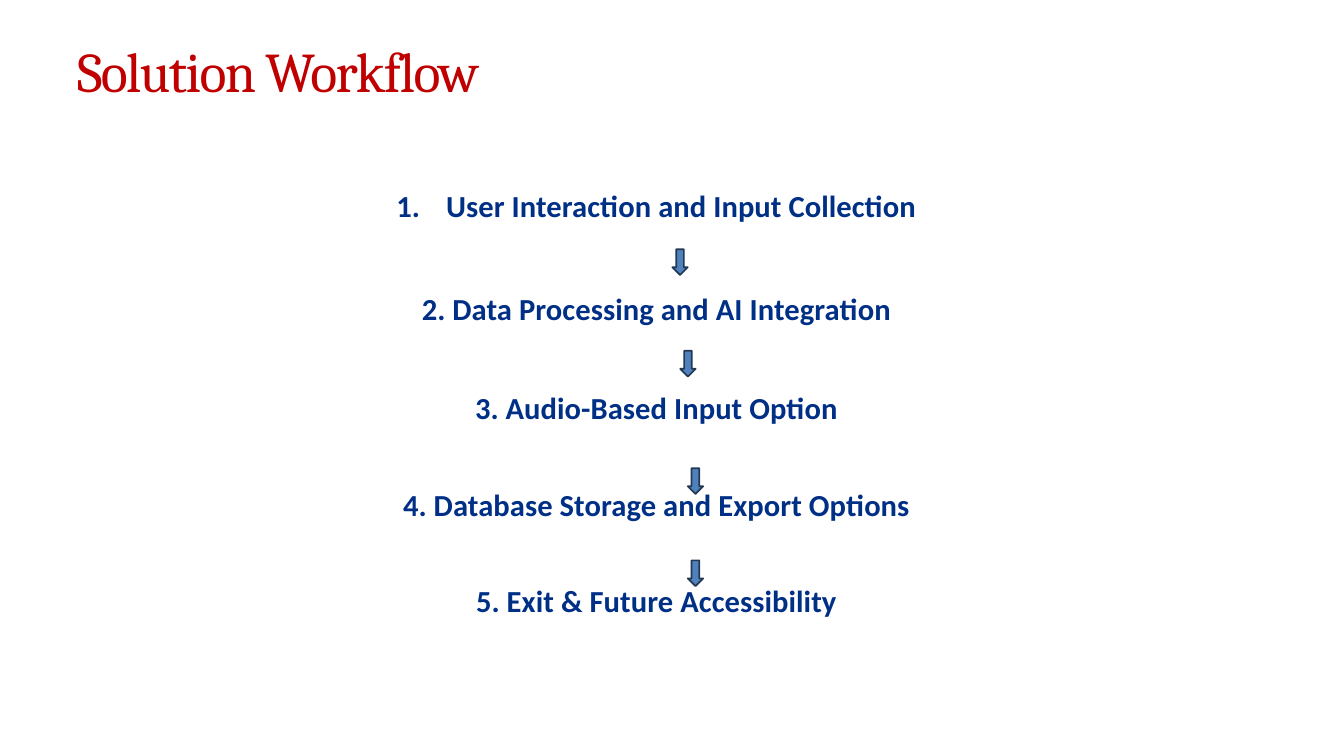
import pptx
import pptx.dml.color
import pptx.enum.shapes
import pptx.enum.text
import pptx.oxml
import pptx.oxml.ns
import pptx.util
from pptx.util import Cm, Pt

COLORS = {"title": "C00000", "step": "002F86", "arrow": "4F81BD", "outline": "233953"}

# Step, hanging indent (cm), space before (pt), line spacing
STEPS = [
    ("User Interaction and Input Collection", 2.06, 0, 1.09),
    ("Data Processing and AI Integration", 1.27, 74.5, 1.09),
    ("Audio-Based Input Option", 1.27, 74, 1.0),
    ("Database Storage and Export Options", 1.27, 70.5, 1.0),
    ("Exit & Future Accessibility", 1.27, 70.5, 1.0),
]
# Left and top of each arrow within the workflow box (cm)
ARROWS = [(23.6, 2.87), (23.93, 7.09), (24.24, 11.97), (24.24, 15.8)]


def rgb(name):
    return pptx.dml.color.RGBColor.from_string(COLORS[name])


def place(shape, box):
    shape.left, shape.top, shape.width, shape.height = (Cm(value) for value in box)


def prepare_frame(frame, margins):
    """Set the margins (left, top, right, bottom in cm) and anchor the text at the top."""
    frame.word_wrap = True
    frame.auto_size = pptx.enum.text.MSO_AUTO_SIZE.NONE
    frame.vertical_anchor = pptx.enum.text.MSO_ANCHOR.TOP
    frame.margin_left, frame.margin_top, frame.margin_right, frame.margin_bottom = (
        Cm(value) for value in margins)


def format_paragraph(paragraph, font_name, size, color, tracking):
    """Style the paragraph's font; tracking is in points. Return its defRPr element."""
    font = paragraph.font
    font.name, font.size = font_name, Pt(size)
    font.color.rgb = rgb(color)
    properties = paragraph._p.get_or_add_pPr().find(pptx.oxml.ns.qn("a:defRPr"))
    properties.set("spc", str(round(tracking * 100)))
    return properties


def number_paragraph(paragraph, font_properties, number, indent):
    paragraph_properties = paragraph._p.get_or_add_pPr()
    paragraph_properties.set("marL", str(Cm(indent)))
    paragraph_properties.set("indent", str(-Cm(indent)))
    font_properties.addprevious(pptx.oxml.parse_xml(
        f'<a:buAutoNum {pptx.oxml.ns.nsdecls("a")} type="arabicPeriod" startAt="{number}"/>'))


def add_title(slide, box):
    title = slide.shapes.title
    place(title, box)
    prepare_frame(title.text_frame, (0, 0.03, 0, 0))
    title.text_frame.text = "Solution Workflow"
    paragraph = title.text_frame.paragraphs[0]
    paragraph.alignment = pptx.enum.text.PP_ALIGN.LEFT
    paragraph.space_before = Pt(1)
    paragraph.line_spacing = 1.0
    format_paragraph(paragraph, "Cambria", 66, "title", -1.8)


def add_steps(slide, box):
    body = slide.placeholders[1]
    place(body, box)
    frame = body.text_frame
    prepare_frame(frame, (0, 0.13, 0.25, 0.13))
    frame.text = "\n".join(step[0] for step in STEPS)
    for number, (paragraph, step) in enumerate(zip(frame.paragraphs, STEPS), 1):
        _, indent, space_before, line_spacing = step
        paragraph.alignment = pptx.enum.text.PP_ALIGN.CENTER
        paragraph.space_before = Pt(space_before)
        paragraph.line_spacing = line_spacing
        paragraph.font.bold = True
        font_properties = format_paragraph(paragraph, "Calibri", 36, "step", 0.1)
        number_paragraph(paragraph, font_properties, number, indent)


def add_arrows(slide, box):
    for left, top in ARROWS:
        arrow = slide.shapes.add_shape(
            pptx.enum.shapes.MSO_SHAPE.DOWN_ARROW,
            Cm(box[0] + left), Cm(box[1] + top), Cm(0.64), Cm(1.07))
        arrow.shadow.inherit = False
        arrow.fill.solid()
        arrow.fill.fore_color.rgb = rgb("arrow")
        arrow.line.color.rgb = rgb("outline")
        arrow.line.width = Pt(2)


def add_workflow_slide(presentation):
    slide = presentation.slides.add_slide(presentation.slide_layouts[1])
    workflow_box = (4.34, 7.49, 46.15, 20.68)
    add_title(slide, (3.2, 1.5, 22.15, 2.87))
    add_steps(slide, workflow_box)
    add_arrows(slide, workflow_box)


def main():
    presentation = pptx.Presentation()
    presentation.slide_width, presentation.slide_height = Cm(55.85), Cm(31.42)
    add_workflow_slide(presentation)
    presentation.save("out.pptx")


if __name__ == "__main__":
    main()
